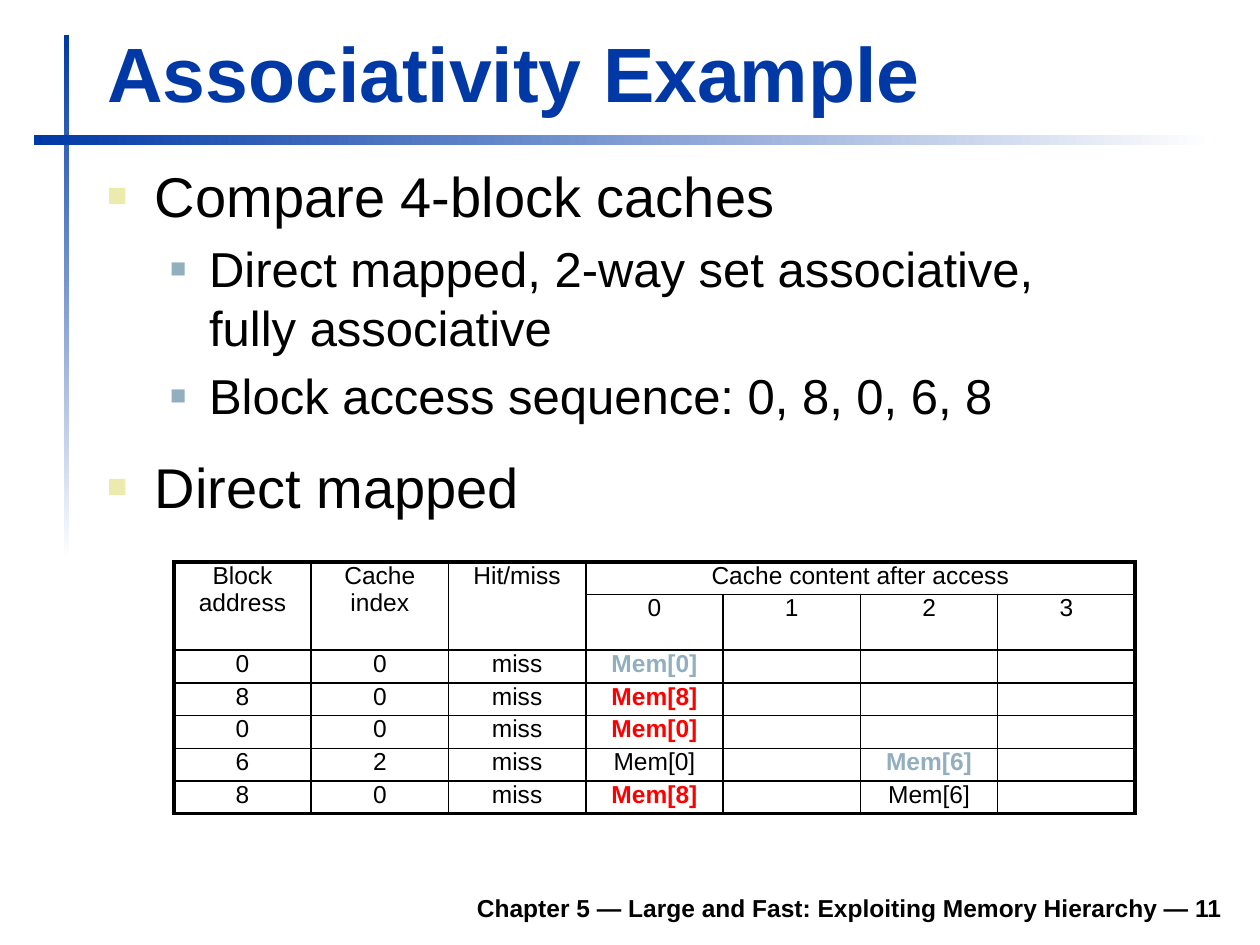
"""Build the associativity example slide with its direct mapped cache table."""
import pptx
import pptx.util
import pptx.dml.color
import pptx.enum.shapes
import pptx.enum.text
import pptx.oxml
import pptx.oxml.ns
from pptx.util import Inches

COLORS = {"blue": "0039A6", "white": "FFFFFF", "black": "000000",
          "sand": "ECEAAC", "steel": "91AFBF", "red": "FF0000"}
Align = pptx.enum.text.PP_ALIGN
Anchor = pptx.enum.text.MSO_ANCHOR


def add_xml(parent, markup):
    """Append elements in the drawing namespace to a parent."""
    root = pptx.oxml.parse_xml(f'<a:root {pptx.oxml.ns.nsdecls("a")}>{markup}</a:root>')
    for element in list(root):
        parent.append(element)


def style(font, size, color="black", bold=False):
    """Set the slide's typeface with a size, colour and weight."""
    font.name = "Arial"
    font.size = pptx.util.Pt(size)
    font.bold = bold
    font.color.rgb = pptx.dml.color.RGBColor.from_string(COLORS[color])


deck = pptx.Presentation()
deck.slide_width, deck.slide_height = Inches(10), Inches(7.5)
page = deck.slides.add_slide(deck.slide_layouts[1])

for left, top, width, height, angle in [(0.51, 0.28, 0.04, 4.17, 270),
                                        (0.27, 1.07, 9.37, 0.08, 0)]:
    bar = page.shapes.add_shape(pptx.enum.shapes.MSO_SHAPE.RECTANGLE, Inches(left),
                                Inches(top), Inches(width), Inches(height))
    bar.shadow.inherit = False
    bar.line.fill.background()
    bar.fill.gradient()
    bar.fill.gradient_angle = angle
    for stop, color in zip(bar.fill.gradient_stops, ("blue", "white")):
        stop.color.rgb = pptx.dml.color.RGBColor.from_string(COLORS[color])

title, body = page.shapes.title, page.placeholders[1]
footer = page.shapes.add_textbox(0, 0, 0, 0)
for box, left, top, width, height, anchor in [
        (title, 0.75, 0.16, 9.03, 0.83, Anchor.BOTTOM),
        (body, 0.75, 1.23, 9.05, 3.07, Anchor.TOP),
        (footer, 1.85, 6.98, 7.95, 0.39, Anchor.BOTTOM)]:
    box.left, box.top = Inches(left), Inches(top)
    box.width, box.height = Inches(width), Inches(height)
    box.text_frame.word_wrap = True
    box.text_frame.auto_size = pptx.enum.text.MSO_AUTO_SIZE.NONE
    box.text_frame.vertical_anchor = anchor

for box, text, align, size, color in [
        (title, "Associativity Example", Align.LEFT, 44, "blue"),
        (footer, "Chapter 5 — Large and Fast: Exploiting Memory Hierarchy — 11",
         Align.RIGHT, 14, "black")]:
    box.text_frame.text = text
    para = box.text_frame.paragraphs[0]
    para.alignment = align
    style(para.font, size, color, True)

LEVELS = [(0.38, 0.38, 32, "sand", 60), (0.81, 0.31, 28, "steel", 55)]
bullets = [(0, 20, "Compare 4-block caches"),
           (1, 20, "Direct mapped, 2-way set associative,\vfully associative"),
           (1, 20, "Block access sequence: 0, 8, 0, 6, 8"),
           (0, 50, "Direct mapped")]
for number, (level, gap, text) in enumerate(bullets):
    para = body.text_frame.add_paragraph() if number else body.text_frame.paragraphs[0]
    para.text = text
    para.level = level
    margin, hanging, size, color, scale = LEVELS[level]
    properties = para._p.get_or_add_pPr()
    properties.set("marL", str(Inches(margin)))
    properties.set("indent", str(-Inches(hanging)))
    add_xml(properties, f'<a:spcBef><a:spcPct val="{gap * 1000}"/></a:spcBef>'
                        f'<a:buClr><a:srgbClr val="{COLORS[color]}"/></a:buClr>'
                        f'<a:buSzPct val="{scale * 1000}"/>'
                        '<a:buFont typeface="Arial"/><a:buChar char="■"/>')
    style(para.font, size)

rows = [["Block address", "Cache index", "Hit/miss", "Cache content after access", "", "", ""],
        ["", "", "", "0", "1", "2", "3"],
        ["0", "0", "miss", "Mem[0]", "", "", ""],
        ["8", "0", "miss", "Mem[8]", "", "", ""],
        ["0", "0", "miss", "Mem[0]", "", "", ""],
        ["6", "2", "miss", "Mem[0]", "", "Mem[6]", ""],
        ["8", "0", "miss", "Mem[8]", "", "Mem[6]", ""]]
highlights = {(2, 3): "steel", (3, 3): "red", (4, 3): "red", (5, 5): "steel", (6, 3): "red"}
last = len(rows) - 1
frame = page.shapes.add_table(7, 7, Inches(1.38), Inches(4.46), Inches(7.64), Inches(2))
table = frame.table
table.first_row = table.horz_banding = False
for column in table.columns:
    column.width = Inches(1.09)
for number, row in enumerate(table.rows):
    row.height = Inches(0.44 if number == 1 else 0.26)
for column in range(3):
    table.cell(0, column).merge(table.cell(1, column))
table.cell(0, 3).merge(table.cell(0, 6))

for r, texts in enumerate(rows):
    for c, text in enumerate(texts):
        cell = table.cell(r, c)
        cell.margin_top = cell.margin_bottom = 0
        para = cell.text_frame.paragraphs[0]
        para.alignment = Align.CENTER
        add_xml(para._p.get_or_add_pPr(), '<a:spcBef><a:spcPct val="20000"/></a:spcBef>')
        if text:
            para.text = text
            style(para.font, 14, highlights.get((r, c), "black"), (r, c) in highlights)
        else:
            add_xml(para._p, '<a:endParaRPr sz="1400"><a:latin typeface="Arial"/></a:endParaRPr>')
        outer = {"lnL": c == 0, "lnR": c == last or (r, c) == (0, 3),
                 "lnT": r == 0, "lnB": r == last}
        for side, thick in outer.items():
            add_xml(cell._tc.get_or_add_tcPr(),
                    f'<a:{side} w="{pptx.util.Pt(2.25 if thick else 1)}"><a:solidFill>'
                    f'<a:srgbClr val="{COLORS["black"]}"/></a:solidFill></a:{side}>')
        cell.fill.background()

deck.save("out.pptx")
